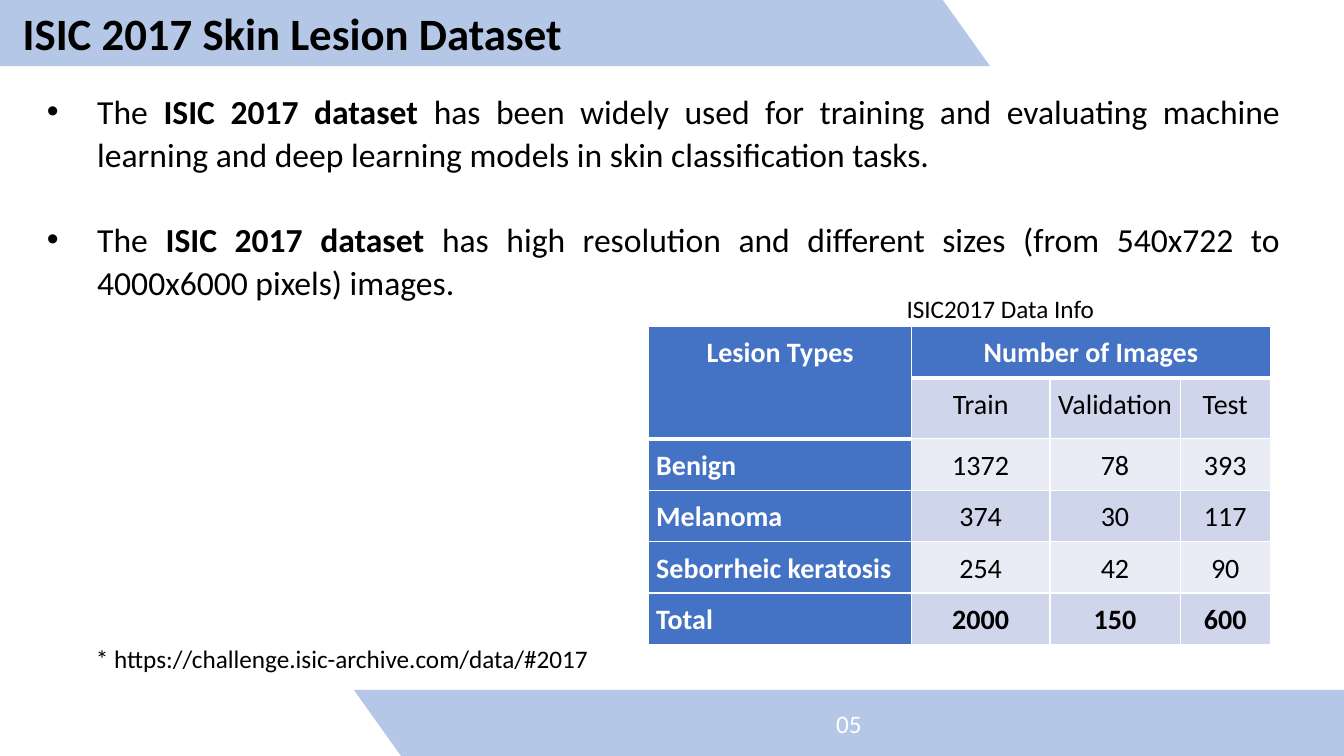
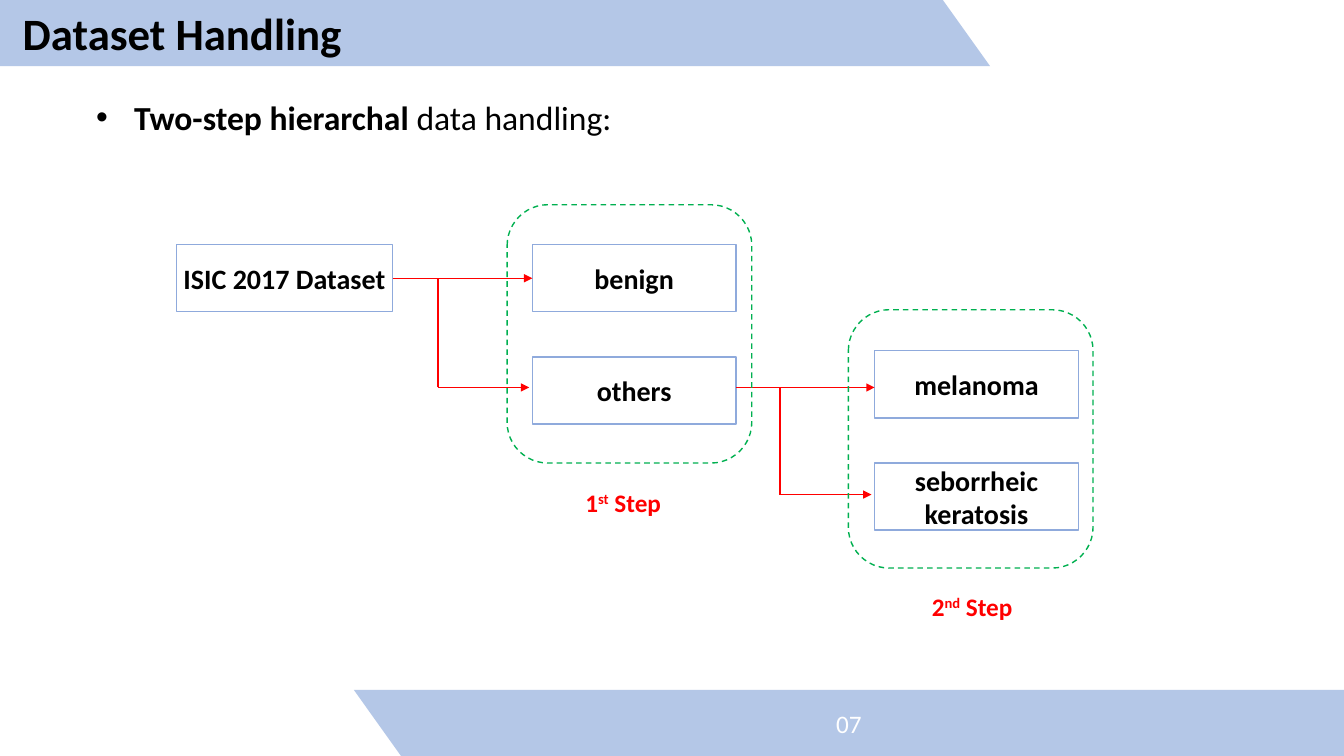
"""Build two slides on a skin lesion dataset and how it is handled."""
import pptx
import pptx.util
import pptx.dml.color
import pptx.enum.dml
import pptx.enum.shapes
import pptx.enum.text
import pptx.oxml

RGB = pptx.dml.color.RGBColor
BLACK = RGB(0x00, 0x00, 0x00)
WHITE = RGB(0xFF, 0xFF, 0xFF)
PALE = RGB(0xB4, 0xC7, 0xE7)
BLUE = RGB(0x44, 0x72, 0xC4)
TINTS = RGB(0xE9, 0xEB, 0xF5), RGB(0xCF, 0xD5, 0xEA)
EDGE = RGB(0x8F, 0xAA, 0xDC)
RED = RGB(0xFF, 0x00, 0x00)
GREEN = RGB(0x00, 0xB0, 0x50)

PX = 9525
WIDE, HIGH = 1280, 720
FONT = "Calibri"
ALIGN = pptx.enum.text.PP_ALIGN
SHAPE = pptx.enum.shapes.MSO_SHAPE
PLAIN, BOLD, RAISED = "plain", "bold", "raised"

BAND = [(0, 0), (898, 0), (943, 63), (0, 63)]
TITLE = (12, 1, 943, 61)

DATA = {
    "title": "ISIC 2017 Skin Lesion Dataset",
    "page": "05",
    "box": (35, 79, 1194, 215),
    "indent": 48,
    "align": ALIGN.JUSTIFY,
    "space": 1.07,
    "points": [
        [("The ", PLAIN), ("ISIC 2017 dataset ", BOLD),
         ("has been widely used for training and evaluating machine learning "
          "and deep learning models in skin classification tasks.", PLAIN)],
        [("The ", PLAIN), ("ISIC 2017 dataset ", BOLD),
         ("has high resolution and different sizes (from 540x722 to "
          "4000x6000 pixels) images.", PLAIN)],
    ],
}
STEPS = {
    "title": "Dataset Handling",
    "page": "07",
    "box": (82, 87, 522, 48),
    "indent": 36,
    "align": ALIGN.LEFT,
    "space": 1.0,
    "points": [[("Two-step hierarchal", BOLD), (" data handling:", PLAIN)]],
}

GRID = [
    ("Lesion Types", "Number of Images", "", ""),
    ("", "Train", "Validation", "Test"),
    ("Benign", "1372", "78", "393"),
    ("Melanoma", "374", "30", "117"),
    ("Seborrheic keratosis", "254", "42", "90"),
    ("Total", "2000", "150", "600"),
]
COLS = [250, 132, 124, 86]
ROWS = [48, 58, 48, 48, 48, 48]
SPOT = (618, 311)
NOTES = [
    ((82, 608, 493, 38), "* https://challenge.isic-archive.com/data/#2017"),
    ((854, 275, 200, 38), "ISIC2017 Data Info"),
]

NODES = [
    ("ISIC 2017 Dataset", (168, 233, 206, 64)),
    ("benign", (507, 233, 194, 64)),
    ("others", (507, 340, 194, 64)),
    ("melanoma", (833, 334, 194, 64)),
    ("seborrheic\nkeratosis", (833, 441, 194, 64)),
]
LINKS = [
    ((374, 265), (507, 265), True),
    ((417, 369), (504, 369), True),
    ((417, 369), (417, 265), False),
    ((701, 369), (833, 369), True),
    ((743, 471), (830, 471), True),
    ((743, 471), (743, 369), False),
]
GROUPS = [
    ((483, 195, 233, 246), (548, 459, 94, 38), "1", "st"),
    ((808, 295, 233, 246), (878, 558, 100, 38), "2", "nd"),
]


def px(*sizes):
    return [size * PX for size in sizes]


def style(par, size, color=BLACK, bold=False, align=ALIGN.LEFT):
    par.alignment = align
    for run in par.runs:
        font = run.font
        font.name, font.size, font.bold = FONT, pptx.util.Pt(size), bold
        font.color.rgb = color


def write(par, parts, size, color=BLACK, align=ALIGN.LEFT):
    for text, kind in parts:
        par.add_run().text = text
    style(par, size, color, align=align)
    for run, (text, kind) in zip(par.runs, parts):
        run.font.bold = kind != PLAIN
        if kind == RAISED:
            run.font._element.set("baseline", "30000")


def place(shape, box):
    shape.left, shape.top, shape.width, shape.height = px(*box)
    frame = shape.text_frame
    frame.auto_size = pptx.enum.text.MSO_AUTO_SIZE.NONE
    frame.vertical_anchor = pptx.enum.text.MSO_ANCHOR.TOP
    return frame


def band(slide, points):
    first, *rest = points
    draw = slide.shapes.build_freeform(*first, scale=PX)
    draw.add_line_segments(rest)
    shape = draw.convert_to_shape()
    shape.shadow.inherit = False
    shape.fill.solid()
    shape.fill.fore_color.rgb = PALE
    shape.line.fill.background()
    slide.shapes.element.insert(2, shape.element)
    return shape


def start(deck, page):
    slide = deck.slides.add_slide(deck.slide_layouts[1])
    band(slide, BAND)
    foot = band(slide, [(WIDE - x, HIGH - y) for x, y in BAND]).text_frame
    foot.text = page["page"]
    foot.vertical_anchor = pptx.enum.text.MSO_ANCHOR.MIDDLE
    style(foot.paragraphs[0], 18, WHITE, align=ALIGN.CENTER)

    head = place(slide.shapes.title, TITLE)
    head.text = page["title"]
    style(head.paragraphs[0], 32, bold=True)

    body = place(slide.placeholders[1], page["box"])
    for num, parts in enumerate(page["points"]):
        par = body.add_paragraph() if num else body.paragraphs[0]
        write(par, parts, 24, align=page["align"])
        par.line_spacing = page["space"]
        par.space_before = pptx.util.Pt(30 if num else 0)
        props = par._p.get_or_add_pPr()
        props.set("marL", str(page["indent"] * PX))
        props.set("indent", str(-page["indent"] * PX))
    return slide


def label(slide, box, parts, color=BLACK):
    shape = slide.shapes.add_textbox(*px(*box))
    frame = place(shape, box)
    frame.word_wrap = False
    write(frame.paragraphs[0], parts, 18, color)


def borders(cell, top, bottom):
    props = cell._tc.get_or_add_tcPr()
    sides = [("L", 1), ("R", 1), ("T", top), ("B", bottom)]
    for num, (side, width) in enumerate(sides):
        props.insert(num, pptx.oxml.parse_xml(
            f'<a:ln{side} xmlns:a="http://schemas.openxmlformats.org/drawingml/2006/main" '
            f'w="{width * 12700}"><a:solidFill><a:srgbClr val="{WHITE}"/></a:solidFill>'
            f'</a:ln{side}>'))


def table(slide):
    size = px(*SPOT, sum(COLS), sum(ROWS))
    grid = slide.shapes.add_table(len(ROWS), len(COLS), *size).table
    grid.first_row = grid.horz_banding = False
    for col, width in zip(grid.columns, COLS):
        col.width = width * PX
    for row, height in zip(grid.rows, ROWS):
        row.height = height * PX
    grid.cell(0, 0).merge(grid.cell(1, 0))
    grid.cell(0, 1).merge(grid.cell(0, 3))
    for r, row in enumerate(GRID):
        for c, text in enumerate(row):
            cell = grid.cell(r, c)
            dark = r == 0 or c == 0
            cell.margin_left = cell.margin_right = 7 * PX
            cell.margin_top = cell.margin_bottom = 7 * PX
            cell.fill.solid()
            cell.fill.fore_color.rgb = BLUE if dark else TINTS[r % 2]
            depth = 1 if c else 2
            borders(cell, 3 if r == depth else 1, 3 if r < depth else 1)
            if text:
                cell.text_frame.text = text
                par = cell.text_frame.paragraphs[0]
                par.line_spacing = 1.07
                left = c == 0 and r > 0
                style(par, 20, WHITE if dark else BLACK,
                      dark or r == len(GRID) - 1,
                      ALIGN.LEFT if left else ALIGN.CENTER)


def outline(slide, kind, box, color):
    shape = slide.shapes.add_shape(kind, *px(*box))
    shape.shadow.inherit = False
    shape.fill.background()
    shape.line.color.rgb = color
    shape.line.width = pptx.util.Pt(1)
    return shape


def node(slide, text, box):
    shape = outline(slide, SHAPE.RECTANGLE, box, EDGE)
    frame = shape.text_frame
    frame.margin_left = frame.margin_right = 0
    frame.margin_top = frame.margin_bottom = 0
    frame.text = text
    for par in frame.paragraphs:
        style(par, 20, bold=True, align=ALIGN.CENTER)
    return shape


def link(slide, tail, head, arrow):
    kind = pptx.enum.shapes.MSO_CONNECTOR.STRAIGHT
    line = slide.shapes.add_connector(kind, *px(*tail, *head))
    line.line.color.rgb = RED
    line.line.width = pptx.util.Pt(1)
    props = line.element.spPr
    if arrow:
        end = pptx.oxml.ns.qn("a:tailEnd")
        line.line._get_or_add_ln().makeelement(end)
        mark = props.makeelement(end, {"type": "triangle"})
        line.line._get_or_add_ln().append(mark)
    props.append(props.makeelement(pptx.oxml.ns.qn("a:effectLst")))
    return line


def main():
    deck = pptx.Presentation()
    deck.slide_width, deck.slide_height = px(WIDE, HIGH)

    slide = start(deck, DATA)
    table(slide)
    for box, text in NOTES:
        label(slide, box, [(text, PLAIN)])

    slide = start(deck, STEPS)
    nodes = [node(slide, *item) for item in NODES]
    lines = [link(slide, *item) for item in LINKS]
    lines[0].begin_connect(nodes[0], 3)
    lines[0].end_connect(nodes[1], 1)
    for box, spot, num, suffix in GROUPS:
        ring = outline(slide, SHAPE.ROUNDED_RECTANGLE, box, GREEN)
        ring.line.dash_style = pptx.enum.dml.MSO_LINE.DASH
        parts = [(num, BOLD), (suffix, RAISED), (" Step", BOLD)]
        label(slide, spot, parts, RED)

    deck.save("out.pptx")


if __name__ == "__main__":
    main()
